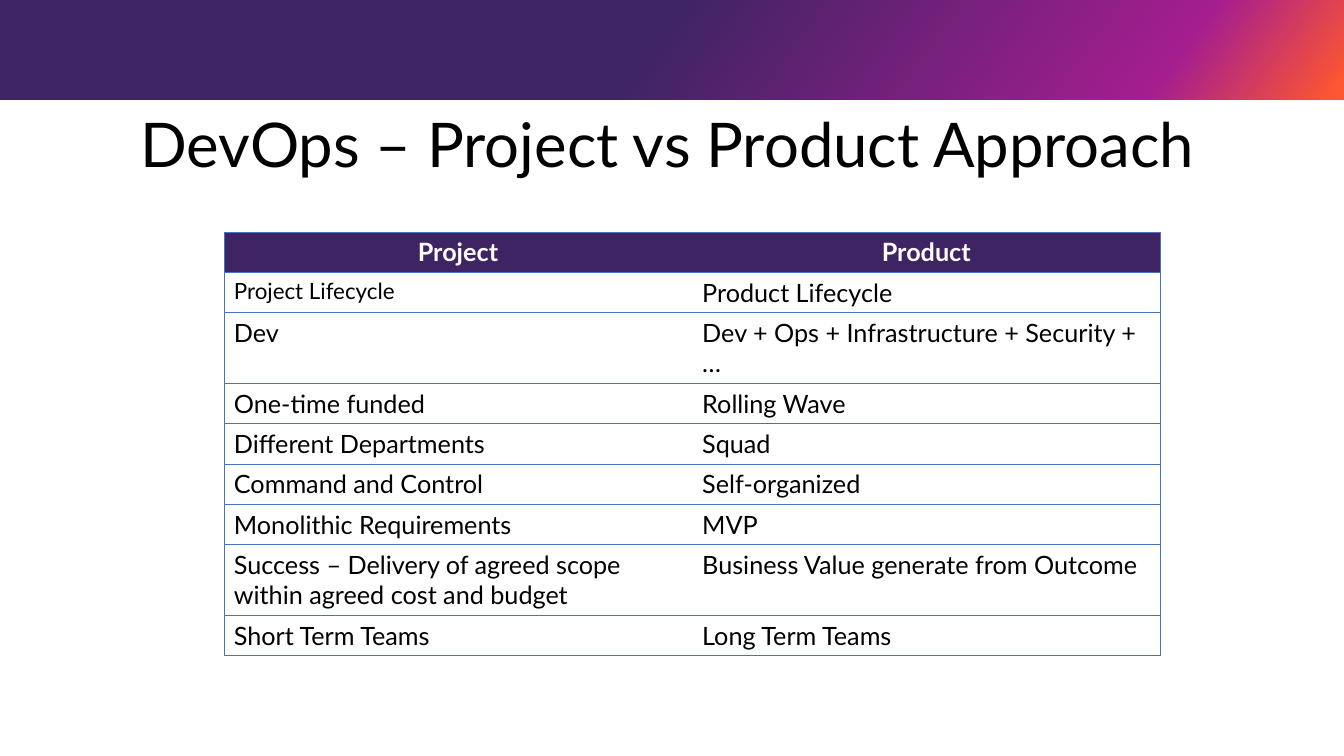
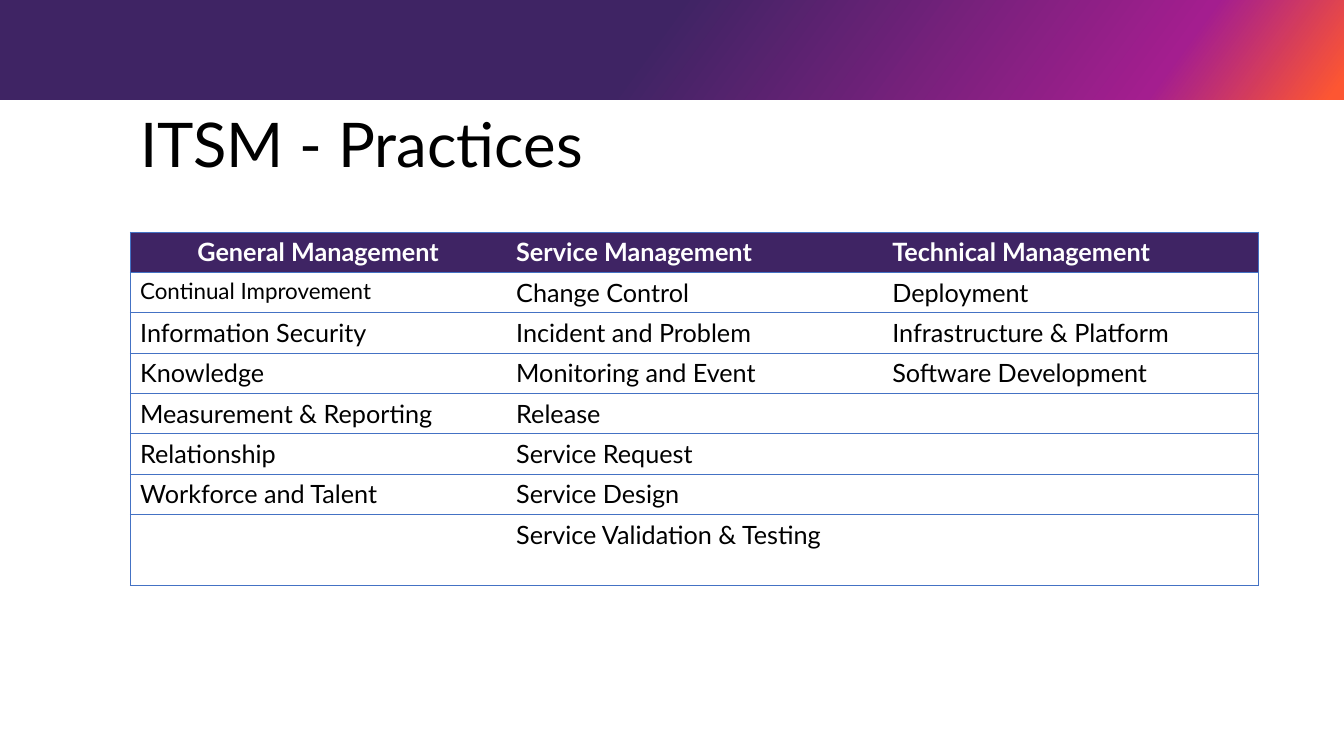
from dataclasses import dataclass

from lxml import etree
from pptx import Presentation
from pptx import util as u
from pptx.dml.color import RGBColor
from pptx.enum import shapes, text
from pptx.oxml import ns


@dataclass(frozen=True)
class Theme:
    font: str = "Lato"
    purple: str = "3F2464"
    rule: str = "4472C4"
    ink: str = "000000"
    paper: str = "FFFFFF"
    band_stops: tuple = ((48, "3F2464"), (86, "A41E8F"), (99, "FD5632"))
    band_angle: int = 36
    title_size: int = 44
    cell_size: int = 18
    small_size: int = 16
    rule_width: float = 0.5


@dataclass(frozen=True)
class Box:
    left: float
    top: float
    width: float
    height: float

    def inches(self):
        return [u.Inches(n) for n in (self.left, self.top, self.width, self.height)]


THEME = Theme()
SLIDE = Box(0, 0, 13.33, 7.5)
BAND = Box(0, 0, SLIDE.width, 0.99)
TITLE = Box(1.29, 1.08, 11.19, 1.22)
ROW = 0.4
TALL_ROW = 0.7

APPROACHES = [
    ("Project", "Product"),
    ("Project Lifecycle", "Product Lifecycle"),
    ("Dev", "Dev + Ops + Infrastructure + Security + …"),
    ("One-time funded", "Rolling Wave"),
    ("Different Departments", "Squad"),
    ("Command and Control", "Self-organized"),
    ("Monolithic Requirements", "MVP"),
    ("Success – Delivery of agreed scope within agreed cost and budget",
     "Business Value generate from Outcome"),
    ("Short Term Teams", "Long Term Teams"),
]

PRACTICES = [
    ("General Management", "Service Management", "Technical Management"),
    ("Continual Improvement", "Change Control", "Deployment"),
    ("Information Security", "Incident and Problem", "Infrastructure & Platform"),
    ("Knowledge", "Monitoring and Event", "Software Development"),
    ("Measurement & Reporting", "Release", ""),
    ("Relationship", "Service Request", ""),
    ("Workforce and Talent", "Service Design", ""),
    ("", "Service Validation & Testing", ""),
]


def add_child(parent, tag, **attributes):
    return etree.SubElement(parent, ns.qn(tag), **attributes)


def style_font(para, size, color, bold=False):
    para.font.name = THEME.font
    para.font.size = u.Pt(size)
    para.font.bold = bold
    para.font.color.rgb = RGBColor.from_string(color)


def add_band(page, box):
    band = page.shapes.add_shape(shapes.MSO_SHAPE.RECTANGLE, *box.inches())
    band.shadow.inherit = False
    band.line.fill.background()
    band.fill.gradient()
    band.fill.gradient_angle = 360 - THEME.band_angle
    stops = band.element.spPr.find(".//" + ns.qn("a:gsLst"))
    for stop in list(stops):
        stops.remove(stop)
    for percent, color in THEME.band_stops:
        stop = add_child(stops, "a:gs", pos=str(percent * 1000))
        add_child(stop, "a:srgbClr", val=color)


def add_title(page, box, title):
    frame = page.shapes.add_textbox(*box.inches()).text_frame
    frame.word_wrap = True
    frame.vertical_anchor = text.MSO_ANCHOR.TOP
    para = frame.paragraphs[0]
    para.text = title
    para.line_spacing = 0.9
    style_font(para, THEME.title_size, THEME.ink)


def set_borders(cell, visible):
    properties = cell._tc.get_or_add_tcPr()
    for position, side in enumerate("LRTB"):
        line = etree.Element(ns.qn("a:ln" + side), w=str(u.Pt(THEME.rule_width)))
        if side in visible:
            fill = add_child(line, "a:solidFill")
            add_child(fill, "a:srgbClr", val=THEME.rule)
        else:
            add_child(line, "a:noFill")
        properties.insert(position, line)


def fill_cell(cell, words, header, size, centered):
    para = cell.text_frame.paragraphs[0]
    para.text = words
    if centered:
        para.alignment = text.PP_ALIGN.CENTER
    style_font(para, size, THEME.paper if header else THEME.ink, header)
    if header:
        cell.fill.solid()
        cell.fill.fore_color.rgb = RGBColor.from_string(THEME.purple)
    else:
        cell.fill.background()


def add_ruled_table(page, box, rows, tall_rows, centered_headers):
    columns = len(rows[0])
    table = page.shapes.add_table(len(rows), columns, *box.inches()).table
    table.first_row = False
    table.horz_banding = False
    for column in table.columns:
        column.width = u.Inches(box.width / columns)
    for r, row in enumerate(rows):
        table.rows[r].height = u.Inches(TALL_ROW if r in tall_rows else ROW)
        for c, words in enumerate(row):
            cell = table.cell(r, c)
            size = THEME.small_size if (r, c) == (1, 0) else THEME.cell_size
            fill_cell(cell, words, r == 0, size, r == 0 and c < centered_headers)
            sides = "TB" + ("L" if c == 0 else "") + ("R" if c == columns - 1 else "")
            set_borders(cell, sides)


def add_table_slide(deck, title, box, rows, tall_rows, centered_headers):
    page = deck.slides.add_slide(deck.slide_layouts[6])
    add_band(page, BAND)
    add_title(page, TITLE, title)
    add_ruled_table(page, box, rows, tall_rows, centered_headers)


def main():
    deck = Presentation()
    deck.slide_width = u.Inches(SLIDE.width)
    deck.slide_height = u.Inches(SLIDE.height)
    add_table_slide(deck, "DevOps – Project vs Product Approach",
                    Box(2.22, 2.3, 9.29, 4.2), APPROACHES, (2, 7), 2)
    add_table_slide(deck, "ITSM - Practices",
                    Box(TITLE.left, 2.3, TITLE.width, 3.5), PRACTICES, (7,), 1)
    deck.save("out.pptx")


if __name__ == "__main__":
    main()
